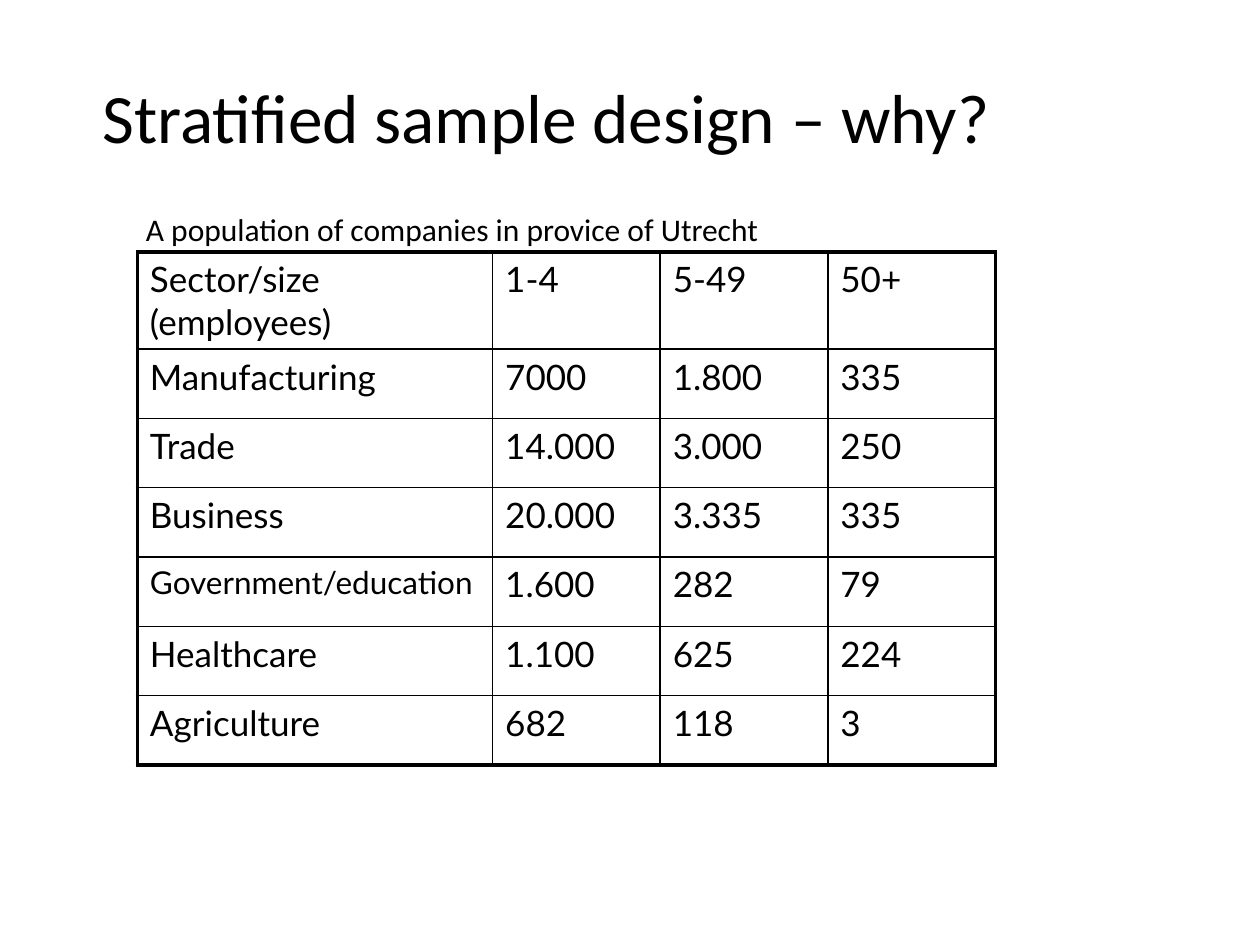
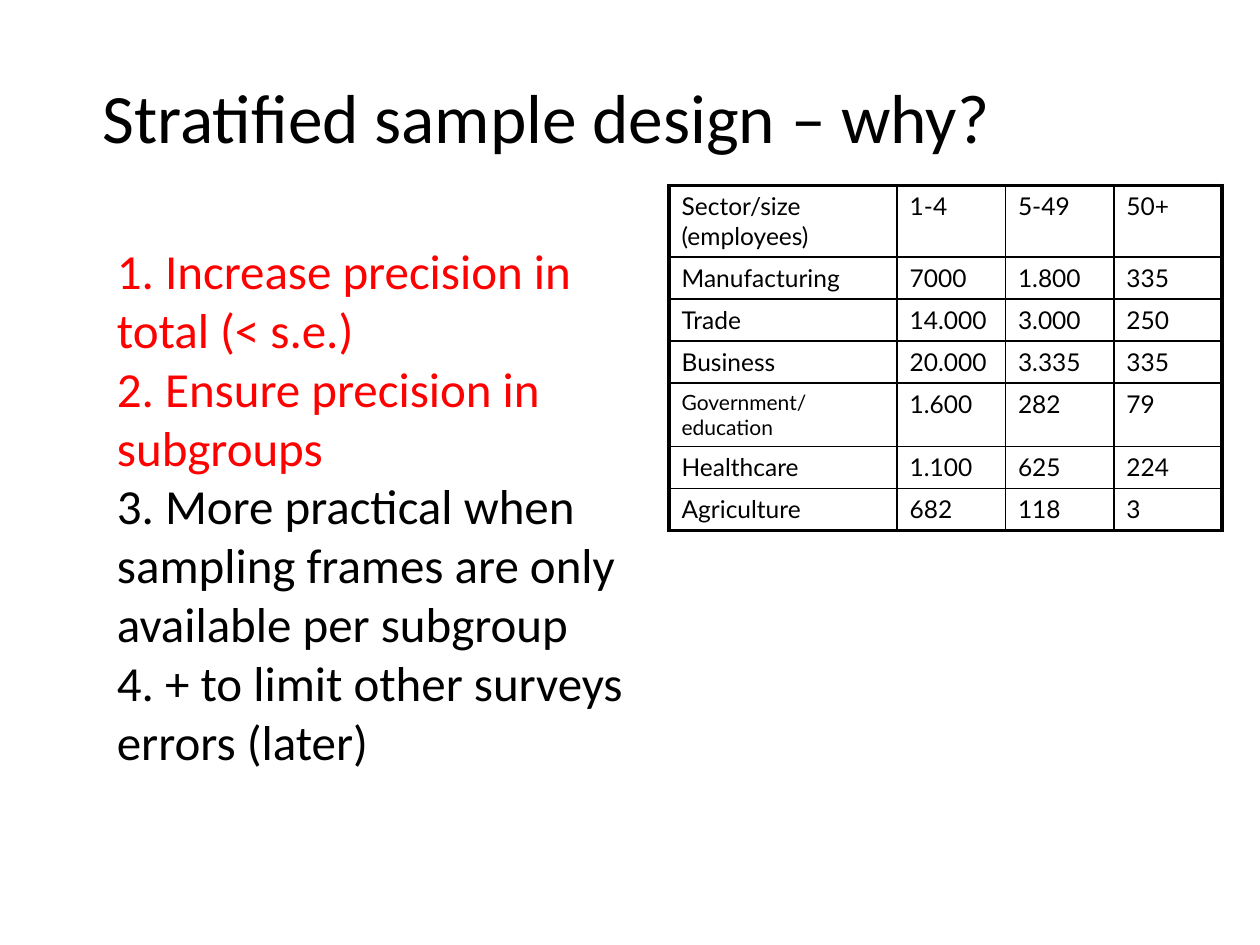
from lxml import etree
from pptx import Presentation
from pptx.dml.color import RGBColor
from pptx.enum.text import MSO_ANCHOR, MSO_AUTO_SIZE, PP_ALIGN
from pptx.oxml.ns import qn
from pptx.util import Inches, Pt

CENTER, JUSTIFY = PP_ALIGN.CENTER, PP_ALIGN.JUSTIFY
MIDDLE = MSO_ANCHOR.MIDDLE
GROW = MSO_AUTO_SIZE.SHAPE_TO_FIT_TEXT
NO_AUTOFIT = MSO_AUTO_SIZE.NONE
TITLE_ONLY = 5

COLORS = {"text": "000000", "accent": "FF0000", "border": "000000"}
BODY_FONT, TABLE_FONT = "Calibri", "Lato"
OUTER_BORDER, INNER_BORDER = 2.25, 1

TITLE = "Stratified sample design – why?"
LONG_LABEL = "Government/education"
POPULATION = [
    ("Sector/size (employees)", "1-4", "5-49", "50+"),
    ("Manufacturing", "7000", "1.800", "335"),
    ("Trade", "14.000", "3.000", "250"),
    ("Business", "20.000", "3.335", "335"),
    (LONG_LABEL, "1.600", "282", "79"),
    ("Healthcare", "1.100", "625", "224"),
    ("Agriculture", "682", "118", "3"),
]
REASONS = [
    ("1. Increase precision in total (< s.e.)", "accent"),
    ("2. Ensure precision in subgroups", "accent"),
    ("3. More practical when sampling frames are only available per subgroup", "text"),
    ("4. + to limit other surveys errors (later)", "text"),
]


def format_runs(p, size, font, color="text"):
    for r in p.runs:
        r.font.size = Pt(size)
        r.font.name = font
        r.font.color.rgb = RGBColor.from_string(COLORS[color])


def add_titled_slide(prs):
    s = prs.slides.add_slide(prs.slide_layouts[TITLE_ONLY])
    sp = s.shapes.title
    sp.left, sp.top = Inches(0.43), Inches(0.33)
    sp.width, sp.height = Inches(7.81), Inches(1.17)
    tf = sp.text_frame
    tf.text = TITLE
    tf.auto_size = NO_AUTOFIT
    tf.vertical_anchor = MIDDLE
    p = tf.paragraphs[0]
    p.alignment = CENTER
    format_runs(p, 39.6, BODY_FONT)
    return s


def add_text(s, left, top, width, height, lines, size):
    """Add a text box of (text, colour name) paragraphs."""
    sp = s.shapes.add_textbox(Inches(left), Inches(top), Inches(width), Inches(height))
    tf = sp.text_frame
    tf.word_wrap = True
    tf.auto_size = GROW
    for i, (text, color) in enumerate(lines):
        p = tf.add_paragraph() if i else tf.paragraphs[0]
        p.text = text
        format_runs(p, size, BODY_FONT, color)


def set_borders(cell, widths):
    """Draw the cell's borders; widths maps L, R, T and B to points."""
    tc_pr = cell._tc.get_or_add_tcPr()
    for side in "LRTB":
        ln = etree.SubElement(tc_pr, qn(f"a:ln{side}"), w=str(Pt(widths[side])))
        fill = etree.SubElement(ln, qn("a:solidFill"))
        etree.SubElement(fill, qn("a:srgbClr"), val=COLORS["border"])


def add_population_table(s, left, top, col_widths, row_heights, size, long_size):
    n_rows, n_cols = len(row_heights), len(col_widths)
    table = s.shapes.add_table(
        n_rows, n_cols, Inches(left), Inches(top),
        Inches(sum(col_widths)), Inches(sum(row_heights))).table
    table.first_row = table.horz_banding = False
    for column, width in zip(table.columns, col_widths):
        column.width = Inches(width)
    for row, height in zip(table.rows, row_heights):
        row.height = Inches(height)
    for i, values in enumerate(POPULATION):
        for j, value in enumerate(values):
            cell = table.cell(i, j)
            cell.text = value
            format_runs(cell.text_frame.paragraphs[0],
                        long_size if value == LONG_LABEL else size, TABLE_FONT)
            on_edge = {"L": j == 0, "R": j == n_cols - 1,
                       "T": i == 0, "B": i == n_rows - 1}
            set_borders(cell, {side: OUTER_BORDER if edge else INNER_BORDER
                               for side, edge in on_edge.items()})
            cell.fill.background()
    return table


def main():
    prs = Presentation()
    prs.slide_width, prs.slide_height = Inches(10), Inches(7.5)

    s = add_titled_slide(prs)
    add_population_table(s, 1.09, 2, [2.82] + [1.33] * 3, [0.77] + [0.55] * 6, 20, 18)
    add_text(s, 1.06, 1.62, 6.85, 0.4,
             [("A population of companies in provice of Utrecht", "text")], 18)

    s = add_titled_slide(prs)
    table = add_population_table(
        s, 5.31, 1.47, [1.81] + [0.86] * 3,
        [0.57] + [0.33] * 3 + [0.5] + [0.33] * 2, 14, 12)
    table.cell(0, 0).text_frame.paragraphs[0].alignment = JUSTIFY
    add_text(s, 0.83, 1.86, 4.33, 4.64, REASONS, 28)

    prs.save("out.pptx")


if __name__ == "__main__":
    main()
